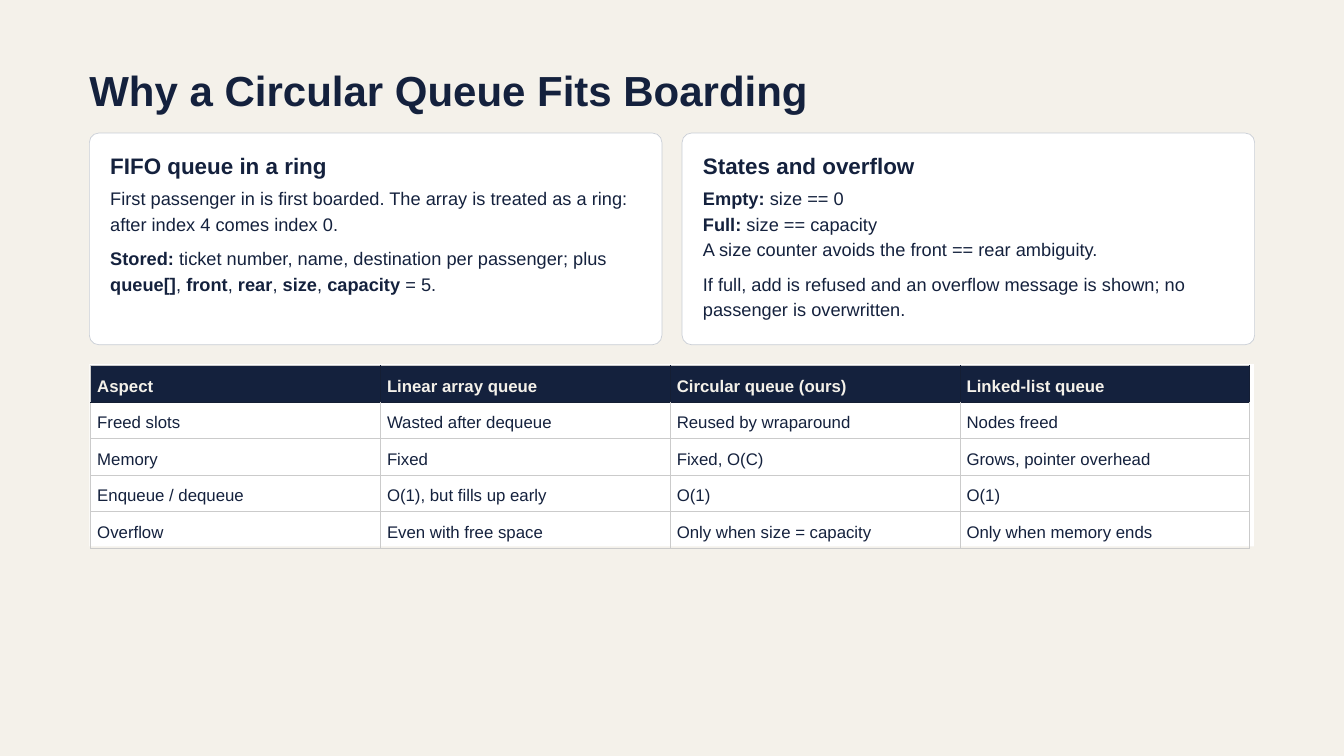
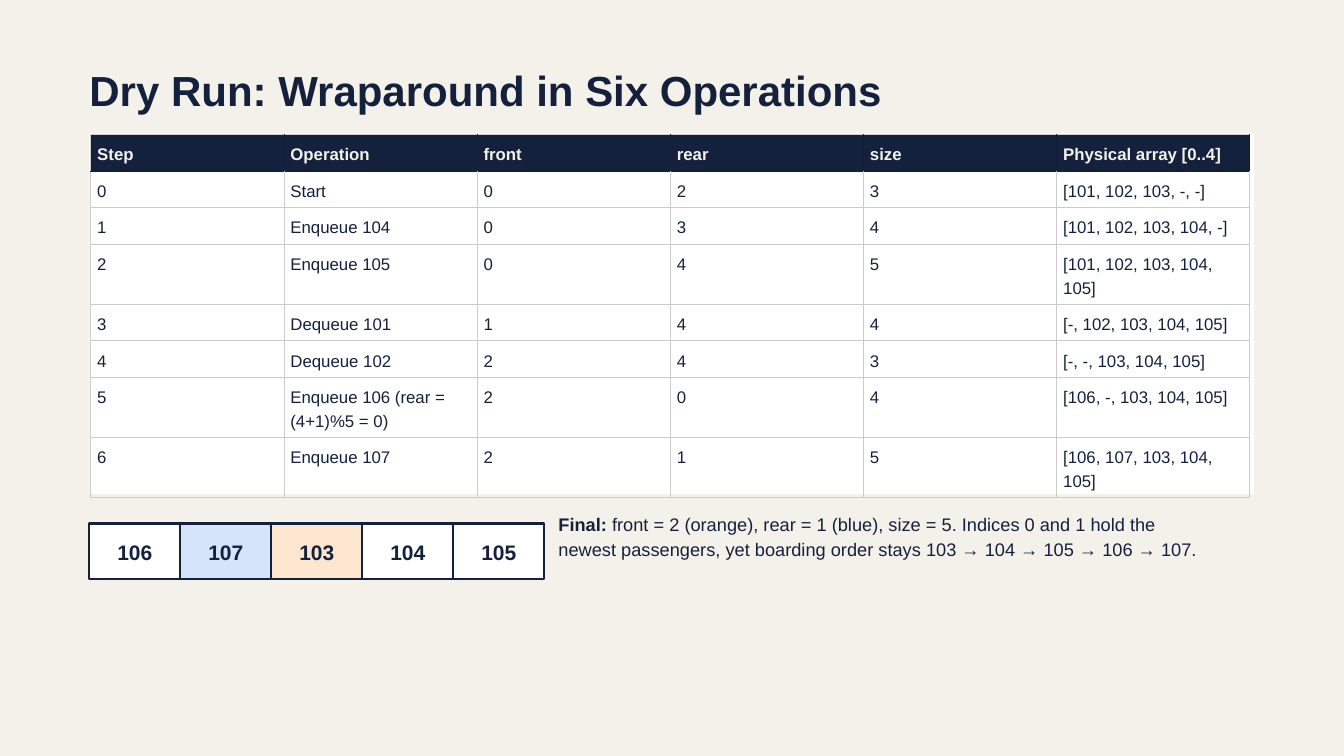
from lxml import etree
from pptx import Presentation
from pptx.dml.color import RGBColor
from pptx.enum import shapes, text
from pptx.oxml import ns
from pptx.util import Inches, Pt

FONT = "Arial"
COLORS = {
    "paper": "F4F1EA", "navy": "14213D", "white": "FFFFFF", "outline": "C9CED6",
    "grid": "CBCBCB", "header_grid": "141E34", "blue": "D6E4FB", "orange": "FDE6CF",
}
LEFT, CONTENT_TOP, CONTENT_W = 1.33, 1.98, 17.33
BODY_SIZE, BODY_LINE = 19.5, 27.3

FITS_TITLE = "Why a Circular Queue Fits Boarding"
CARDS = [
    ("FIFO queue in a ring", [
        (2, ["First passenger in is first boarded. The array is treated as a ring: "
             "after index 4 comes index 0."]),
        (2, ["**Stored:** ticket number, name, destination per passenger; plus **queue[]**, "
             "**front**, **rear**, **size**, **capacity** = 5."]),
    ]),
    ("States and overflow", [
        (3, ["**Empty:** size == 0",
             "**Full:** size == capacity",
             "A size counter avoids the front == rear ambiguity."]),
        (2, ["If full, add is refused and an overflow message is shown; "
             "no passenger is overwritten."]),
    ]),
]
COMPARISON = [
    ("Aspect", "Linear array queue", "Circular queue (ours)", "Linked-list queue"),
    ("Freed slots", "Wasted after dequeue", "Reused by wraparound", "Nodes freed"),
    ("Memory", "Fixed", "Fixed, O(C)", "Grows, pointer overhead"),
    ("Enqueue / dequeue", "O(1), but fills up early", "O(1)", "O(1)"),
    ("Overflow", "Even with free space", "Only when size = capacity", "Only when memory ends"),
]

RUN_TITLE = "Dry Run: Wraparound in Six Operations"
DRY_RUN = [
    ("Step", "Operation", "front", "rear", "size", "Physical array [0..4]"),
    ("0", "Start", "0", "2", "3", "[101, 102, 103, -, -]"),
    ("1", "Enqueue 104", "0", "3", "4", "[101, 102, 103, 104, -]"),
    ("2", "Enqueue 105", "0", "4", "5", "[101, 102, 103, 104, 105]"),
    ("3", "Dequeue 101", "1", "4", "4", "[-, 102, 103, 104, 105]"),
    ("4", "Dequeue 102", "2", "4", "3", "[-, -, 103, 104, 105]"),
    ("5", "Enqueue 106 (rear = (4+1)%5 = 0)", "2", "0", "4", "[106, -, 103, 104, 105]"),
    ("6", "Enqueue 107", "2", "1", "5", "[106, 107, 103, 104, 105]"),
]
DRY_RUN_HEIGHTS = [0.53, 0.53, 0.53, 0.85, 0.53, 0.53, 0.85, 0.85]
SLOTS = [("106", "white"), ("107", "blue"), ("103", "orange"), ("104", "white"), ("105", "white")]
FINAL = ("**Final:** front = 2 (orange), rear = 1 (blue), size = 5. Indices 0 and 1 hold the "
         "newest passengers, yet boarding order stays 103 → 104 → 105 → 106 → 107.")


def rgb(name):
    return RGBColor.from_string(COLORS[name])


def write(tf, lines, size, line_pt, color="navy", bold=False, align=text.PP_ALIGN.LEFT):
    tf.word_wrap = True
    for i, line in enumerate(lines):
        p = tf.add_paragraph() if i else tf.paragraphs[0]
        p.alignment = align
        p.line_spacing = Pt(line_pt)
        p.space_before = Pt(0)
        for j, part in enumerate(line.split("**")):
            if part:
                r = p.add_run()
                r.text = part
                r.font.name, r.font.size = FONT, Pt(size)
                r.font.bold = bold or j % 2 == 1
                r.font.color.rgb = rgb(color)


def set_margins(holder, left, top, right, bottom):
    holder.margin_left, holder.margin_top = left, top
    holder.margin_right, holder.margin_bottom = right, bottom


def add_text(s, x, y, w, h, lines, size=BODY_SIZE, line_pt=BODY_LINE, bold=False):
    tf = s.shapes.add_textbox(Inches(x), Inches(y), Inches(w), Inches(h)).text_frame
    set_margins(tf, 0, 0, 0, 0)
    write(tf, lines, size, line_pt, bold=bold)


def add_box(s, kind, x, y, w, h, fill, line=None, width=0):
    sp = s.shapes.add_shape(kind, Inches(x), Inches(y), Inches(w), Inches(h))
    sp.shadow.inherit = False
    sp.fill.solid()
    sp.fill.fore_color.rgb = rgb(fill)
    if line:
        sp.line.color.rgb = rgb(line)
        sp.line.width = Pt(width)
    else:
        sp.line.fill.background()
    return sp


def add_slide(prs, title):
    s = prs.slides.add_slide(prs.slide_layouts[5])
    sp = s.shapes.title
    sp.left, sp.top, sp.width, sp.height = map(Inches, (LEFT, 1.02, 17.85, 0.71))
    tf = sp.text_frame
    set_margins(tf, 0, 0, 0, 0)
    tf.vertical_anchor = text.MSO_ANCHOR.TOP
    tf.auto_size = text.MSO_AUTO_SIZE.NONE
    write(tf, [title], 45, 49.5, bold=True)
    return s


def set_borders(cell, sides):
    tc_pr = cell._tc.get_or_add_tcPr()
    for tag, color in sides.items():
        ln = etree.SubElement(tc_pr, ns.qn(f"a:{tag}"), w=str(Pt(1)))
        fill = etree.SubElement(ln, ns.qn("a:solidFill"))
        etree.SubElement(fill, ns.qn("a:srgbClr"), val=COLORS[color])


def add_grid(s, y, rows, heights, panel_h):
    add_box(s, shapes.MSO_SHAPE.RECTANGLE, LEFT, y, CONTENT_W, panel_h, "white")
    table_w = 17.25
    table = s.shapes.add_table(len(rows), len(rows[0]), Inches(LEFT + 0.02), Inches(y + 0.02),
                               Inches(table_w), Inches(sum(heights))).table
    table.horz_banding = False
    for col in table.columns:
        col.width = Inches(table_w / len(rows[0]))
    for i, (row, height) in enumerate(zip(rows, heights)):
        table.rows[i].height = Inches(height)
        header = i == 0
        edge = "header_grid" if header else "grid"
        for j, value in enumerate(row):
            cell = table.cell(i, j)
            set_borders(cell, {
                "lnL": edge if j else "grid", "lnR": edge,
                "lnT": "header_grid" if i == 1 else "grid", "lnB": edge,
            })
            if header:
                cell.fill.solid()
                cell.fill.fore_color.rgb = rgb("navy")
            else:
                cell.fill.background()
            set_margins(cell, *[Pt(7)] * 4)
            write(cell.text_frame, [value], 18, 25.2, "paper" if header else "navy", header)


def add_card(s, x, heading, blocks):
    card = add_box(s, shapes.MSO_SHAPE.ROUNDED_RECTANGLE, x, CONTENT_TOP, 8.52, 3.15,
                   "white", "outline", 0.75)
    card.adjustments[0] = 0.14 / 3.15
    inner_x, inner_w = x + 0.31, 8.15
    add_text(s, inner_x, 2.27, inner_w, 0.45, [heading], 24, 28.8, True)
    y = 2.74
    for line_count, lines in blocks:
        h = line_count * BODY_LINE / 72
        add_text(s, inner_x, y, inner_w, h + 0.1, lines)
        y += h + 0.13


def build_fits(prs):
    s = add_slide(prs, FITS_TITLE)
    for i, (heading, blocks) in enumerate(CARDS):
        add_card(s, LEFT + i * 8.82, heading, blocks)
    add_grid(s, 5.42, COMPARISON, [0.52] * len(COMPARISON), 2.71)


def build_dry_run(prs):
    s = add_slide(prs, RUN_TITLE)
    add_grid(s, CONTENT_TOP, DRY_RUN, DRY_RUN_HEIGHTS, 5.37)
    slot_w = 6.77 / len(SLOTS)
    for i, (ticket, fill) in enumerate(SLOTS):
        slot = add_box(s, shapes.MSO_SHAPE.RECTANGLE, LEFT + i * slot_w, 7.79, slot_w, 0.83,
                       fill, "navy", 2.25)
        tf = slot.text_frame
        set_margins(tf, *map(Inches, (0.06, 0.06, 0.06, 0.1)))
        tf.vertical_anchor = text.MSO_ANCHOR.MIDDLE
        write(tf, [ticket], 22.5, 31.5, bold=True, align=text.PP_ALIGN.CENTER)
    add_text(s, 8.31, 7.58, 9.66, 1.24, [FINAL])


def main():
    prs = Presentation()
    prs.slide_width, prs.slide_height = Inches(20), Inches(11.25)
    background = prs.slide_master.background.fill
    background.solid()
    background.fore_color.rgb = rgb("paper")
    build_fits(prs)
    build_dry_run(prs)
    prs.save("out.pptx")


if __name__ == "__main__":
    main()
